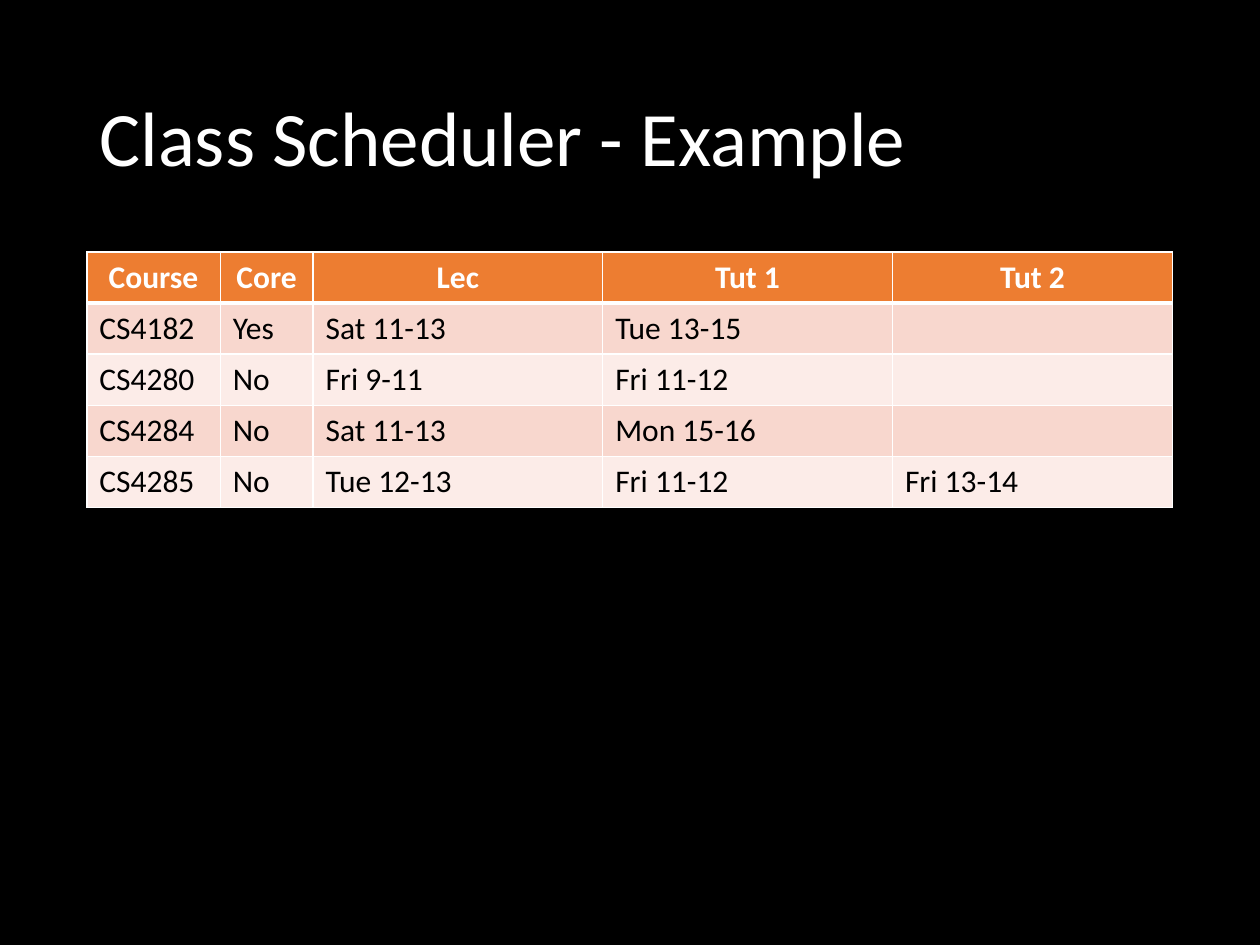
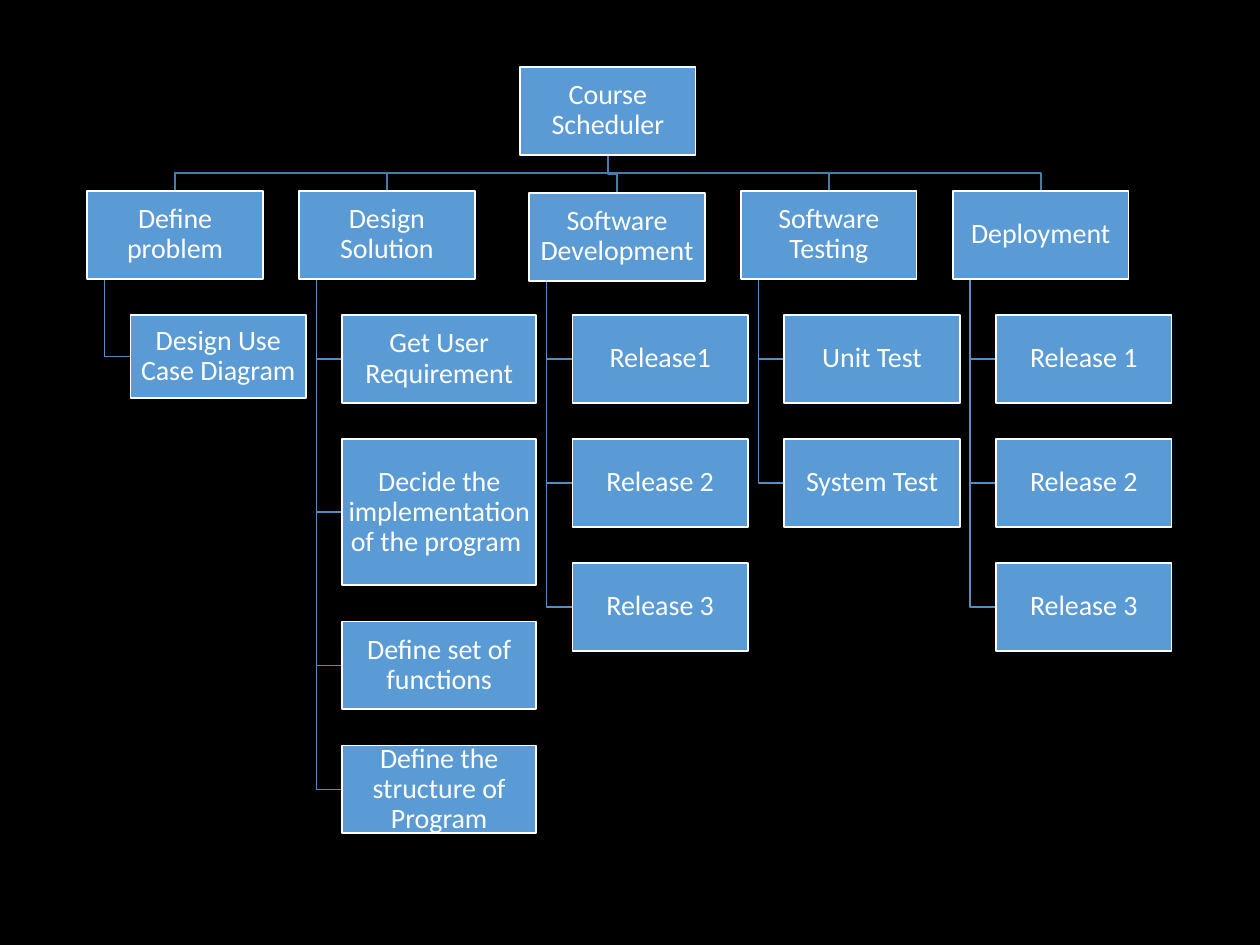
import lxml.etree
import pptx
import pptx.dml.color
import pptx.enum.shapes
import pptx.enum.text
import pptx.oxml.ns
import pptx.util

Cm = pptx.util.Cm
Pt = pptx.util.Pt
qn = pptx.oxml.ns.qn
PP_ALIGN = pptx.enum.text.PP_ALIGN
MIDDLE = pptx.enum.text.MSO_ANCHOR.MIDDLE

FONT = "Calibri"
COLOURS = {
    "background": "000000",
    "light": "FFFFFF",
    "dark": "000000",
    "header": "ED7D31",
    "band_odd": "F8D7CE",
    "band_even": "FCECE8",
    "box": "5B9BD5",
    "root_line": "497CAB",
    "branch_line": "538DC1",
}

COURSE_COLUMNS = {"Course": 2.69, "Core": 1.87, "Lec": 5.84, "Tut 1": 5.84, "Tut 2": 5.65}
COURSES = [
    ["CS4182", "Yes", "Sat 11-13", "Tue 13-15", ""],
    ["CS4280", "No", "Fri 9-11", "Fri 11-12", ""],
    ["CS4284", "No", "Sat 11-13", "Mon 15-16", ""],
    ["CS4285", "No", "Tue 12-13", "Fri 11-12", "Fri 13-14"],
]
TABLE_LEFT, TABLE_TOP, ROW_HEIGHT = 1.75, 5.08, 1.03

BOX_WIDTH, BOX_HEIGHT, GAP = 3.54, 1.77, 0.73
TREE_LEFT, TREE_TOP = 1.76, 1.35
TRUNK_INDENT, CHILD_INDENT = 0.35, 0.87
WIDE, TALL, SHORT = 3.91, 2.95, 1.67

ROOT = "Course Scheduler"
PHASES = [
    {"name": "Define problem", "tasks": [("Design Use Case Diagram", SHORT)]},
    {
        "name": "Design Solution",
        "task_width": WIDE,
        "tasks": [
            ("Get User Requirement", BOX_HEIGHT),
            ("Decide the implementation of the program ", TALL),
            ("Define set of functions", BOX_HEIGHT),
            ("Define the structure of Program", BOX_HEIGHT),
        ],
    },
    {
        "name": "Software Development",
        "drop": 0.04,
        "tasks": [(name, BOX_HEIGHT) for name in ("Release1", "Release 2", "Release 3")],
    },
    {
        "name": "Software Testing",
        "tasks": [(name, BOX_HEIGHT) for name in ("Unit Test", "System Test")],
    },
    {
        "name": "Deployment",
        "tasks": [(name, BOX_HEIGHT) for name in ("Release 1", "Release 2", "Release 3")],
    },
]


def colour(name):
    return pptx.dml.color.RGBColor.from_string(COLOURS[name])


def paint(fill, name):
    fill.solid()
    fill.fore_color.rgb = colour(name)


def outline(shape, name):
    shape.line.color.rgb = colour(name)
    shape.line.width = Pt(1)
    shape.shadow.inherit = False


def write(paragraph, text, size, colour_name="light", bold=False, alignment=PP_ALIGN.LEFT):
    paragraph.alignment = alignment
    run = paragraph.add_run()
    run.text = text
    run.font.name = FONT
    run.font.size = Pt(size)
    run.font.bold = bold
    run.font.color.rgb = colour(colour_name)


def add_title(slide, text):
    title = slide.shapes.title
    title.left, title.top = Cm(1.75), Cm(1.01)
    title.width, title.height = Cm(21.9), Cm(3.68)
    title.text_frame.vertical_anchor = MIDDLE
    paragraph = title.text_frame.paragraphs[0]
    paragraph.line_spacing = 0.9
    write(paragraph, text, 44)


def set_border(cell, side, width):
    properties = cell._tc.get_or_add_tcPr()
    line = lxml.etree.SubElement(properties, qn(f"a:ln{side}"), w=str(Pt(width)))
    fill = lxml.etree.SubElement(line, qn("a:solidFill"))
    lxml.etree.SubElement(fill, qn("a:srgbClr"), val=COLOURS["light"])


def format_cell(cell, text, row_index):
    is_header = row_index == 0
    widths = {"L": 1, "R": 1, "T": 3 if row_index == 1 else 1, "B": 3 if is_header else 1}
    for side, width in widths.items():
        set_border(cell, side, width)
    band = "band_odd" if row_index % 2 else "band_even"
    paint(cell.fill, "header" if is_header else band)
    if text:
        write(
            cell.text_frame.paragraphs[0],
            text,
            18,
            "light" if is_header else "dark",
            is_header,
            PP_ALIGN.CENTER if is_header else PP_ALIGN.LEFT,
        )


def add_course_table(slide):
    rows = [list(COURSE_COLUMNS), *COURSES]
    table = slide.shapes.add_table(
        len(rows),
        len(COURSE_COLUMNS),
        Cm(TABLE_LEFT),
        Cm(TABLE_TOP),
        Cm(sum(COURSE_COLUMNS.values())),
        Cm(ROW_HEIGHT * len(rows)),
    ).table
    for column, width in zip(table.columns, COURSE_COLUMNS.values()):
        column.width = Cm(width)
    for row_index, texts in enumerate(rows):
        table.rows[row_index].height = Cm(ROW_HEIGHT)
        for column_index, text in enumerate(texts):
            format_cell(table.cell(row_index, column_index), text, row_index)


def add_box(slide, text, left, top, width=BOX_WIDTH, height=BOX_HEIGHT):
    box = slide.shapes.add_shape(
        pptx.enum.shapes.MSO_SHAPE.RECTANGLE, Cm(left), Cm(top), Cm(width), Cm(height)
    )
    paint(box.fill, "box")
    outline(box, "light")
    frame = box.text_frame
    frame.word_wrap = True
    frame.vertical_anchor = MIDDLE
    frame.margin_left = frame.margin_right = Cm(0.03)
    frame.margin_top = frame.margin_bottom = Cm(0.03)
    paragraph = frame.paragraphs[0]
    paragraph.line_spacing = 0.9
    write(paragraph, text, 16, alignment=PP_ALIGN.CENTER)


def add_elbow(slide, points, line_colour):
    start, *others = [(Cm(x), Cm(y)) for x, y in points]
    builder = slide.shapes.build_freeform(*start)
    builder.add_line_segments(others, close=False)
    elbow = builder.convert_to_shape()
    elbow.fill.background()
    outline(elbow, line_colour)


def add_phase(slide, phase, left, root_centre):
    phase_top = TREE_TOP + BOX_HEIGHT + GAP
    box_top = phase_top + phase.get("drop", 0)
    root_bottom = TREE_TOP + BOX_HEIGHT
    middle = (root_bottom + box_top) / 2
    centre = left + BOX_WIDTH / 2
    add_elbow(
        slide,
        [(root_centre, root_bottom), (root_centre, middle), (centre, middle), (centre, box_top)],
        "root_line",
    )
    trunk, task_left = left + TRUNK_INDENT, left + CHILD_INDENT
    task_top = phase_top + BOX_HEIGHT + GAP
    for text, height in phase["tasks"]:
        task_middle = task_top + height / 2
        add_elbow(
            slide,
            [(trunk, box_top + BOX_HEIGHT), (trunk, task_middle), (task_left, task_middle)],
            "branch_line",
        )
        add_box(slide, text, task_left, task_top, phase.get("task_width", BOX_WIDTH), height)
        task_top += height + GAP
    add_box(slide, phase["name"], left, box_top)


def add_work_breakdown(slide):
    lefts = [TREE_LEFT]
    for phase in PHASES[:-1]:
        lefts.append(lefts[-1] + phase.get("task_width", BOX_WIDTH) + GAP)
    root_left = (lefts[0] + lefts[-1]) / 2
    for phase, left in zip(PHASES, lefts):
        add_phase(slide, phase, left, root_left + BOX_WIDTH / 2)
    add_box(slide, ROOT, root_left, TREE_TOP)


def main():
    presentation = pptx.Presentation()
    presentation.slide_width, presentation.slide_height = Cm(25.4), Cm(19.05)
    paint(presentation.slide_master.background.fill, "background")
    title_only, blank = presentation.slide_layouts[5], presentation.slide_layouts[6]

    example_slide = presentation.slides.add_slide(title_only)
    add_title(example_slide, "Class Scheduler - Example")
    add_course_table(example_slide)

    add_work_breakdown(presentation.slides.add_slide(blank))
    presentation.save("out.pptx")


if __name__ == "__main__":
    main()
